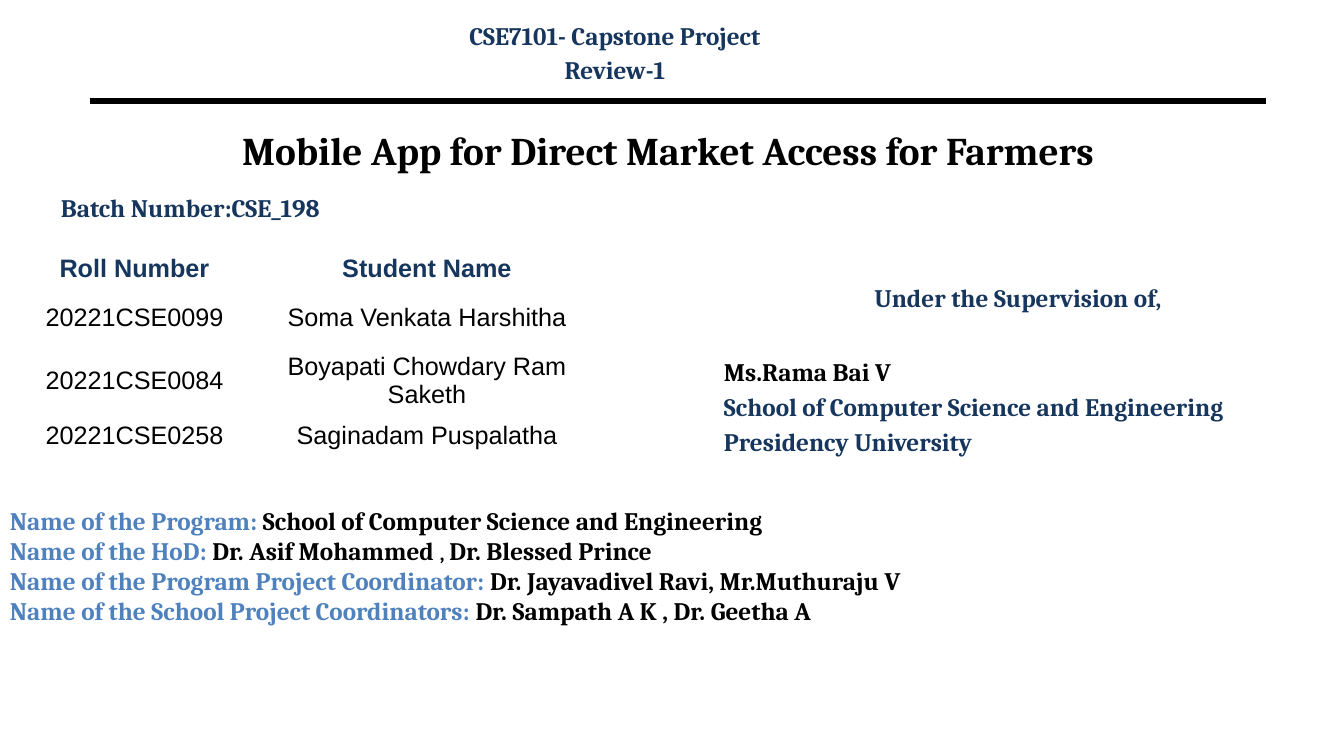
from pptx import Presentation
from pptx import util as u
from pptx.dml.color import RGBColor
from pptx.enum import shapes, text
from pptx.oxml.ns import qn
from lxml import etree

COLORS = {"ink": "000000", "navy": "17365D", "blue": "4F81BD"}
SLIDE = (1344, 756)
PX = u.Inches(7.5) / SLIDE[1]

# Each paragraph: (space before in points, alignment, spans of (words, color, bold))
HEADER = [
    (0, "center", [("CSE7101- Capstone Project", "navy", True)]),
    (3.1, "center", [("Review-1", "navy", True)]),
]
TITLE = [(0, "center", [("Mobile App for Direct Market Access for Farmers", "ink", True)])]
BATCH = [(0, "left", [("Batch Number:CSE_198", "navy", True)])]
SUPERVISION = [
    (0, "center", [("Under the Supervision of,", "navy", True)]),
    (31.5, "left", [("Ms.Rama Bai V", "ink", True)]),
    (3.4, "left", [("School of Computer Science and Engineering", "navy", True)]),
    (3.4, "left", [("Presidency University", "navy", True)]),
]
STAFF = [
    ("Name of the Program: ", [("School of Computer Science and Engineering", "ink", True)]),
    ("Name of the HoD: ", [("Dr. Asif Mohammed ", "ink", True), (", ", "ink", False),
                           ("Dr. Blessed Prince", "ink", True)]),
    ("Name of the Program Project Coordinator: ",
     [("Dr. Jayavadivel Ravi, Mr.Muthuraju V", "ink", True)]),
    ("Name of the School Project Coordinators: ",
     [("Dr. Sampath A K , Dr. Geetha A", "ink", True)]),
]
STUDENTS = [
    ("Roll Number", "Student Name"),
    ("20221CSE0099", "Soma Venkata Harshitha"),
    ("20221CSE0084", "Boyapati Chowdary Ram Saketh"),
    ("20221CSE0258", "Saginadam Puspalatha"),
    ("", ""),
    ("", ""),
]
COLUMN_WIDTHS = (225, 360)
ROW_HEIGHTS = (32, 56, 56, 32, 32, 32)
ALIGN = {"left": text.PP_ALIGN.LEFT, "center": text.PP_ALIGN.CENTER}


def px(*lengths):
    return [u.Emu(round(length * PX)) for length in lengths]


def write(frame, paragraphs, font="Cambria", size=18):
    frame.word_wrap = True
    for index, (before, align, spans) in enumerate(paragraphs):
        para = frame.add_paragraph() if index else frame.paragraphs[0]
        para.alignment = ALIGN[align]
        para.space_before = u.Pt(before)
        para.font.size = u.Pt(size)
        for words, color, bold in spans:
            span = para.add_run()
            span.text = words
            span.font.name = font
            span.font.size = u.Pt(size)
            span.font.bold = bold
            span.font.color.rgb = RGBColor.from_string(COLORS[color])


def add_text(page, place, paragraphs, anchor=text.MSO_ANCHOR.TOP, **style):
    frame = page.shapes.add_textbox(*px(*place)).text_frame
    frame.vertical_anchor = anchor
    write(frame, paragraphs, **style)


def add_rule(page, left, right, top):
    rule = page.shapes.add_connector(shapes.MSO_CONNECTOR.STRAIGHT, *px(left, top, right, top))
    rule.line.color.rgb = RGBColor.from_string(COLORS["ink"])
    rule.line.width = u.Pt(4.5)
    etree.SubElement(rule._element.spPr, qn("a:effectLst"))


def add_students(page, left, top):
    size = (sum(COLUMN_WIDTHS), sum(ROW_HEIGHTS))
    table = page.shapes.add_table(len(STUDENTS), len(COLUMN_WIDTHS),
                                  *px(left, top, *size)).table
    table.first_row = table.horz_banding = False
    for column, width in zip(table.columns, px(*COLUMN_WIDTHS)):
        column.width = width
    for row, height in zip(table.rows, px(*ROW_HEIGHTS)):
        row.height = height
    for r, student in enumerate(STUDENTS):
        for c, words in enumerate(student):
            cell = table.cell(r, c)
            cell.fill.background()
            cell.vertical_anchor = text.MSO_ANCHOR.MIDDLE
            heading = r == 0
            spans = [(words, "navy" if heading else "ink", heading)] if words else []
            write(cell.text_frame, [(0, "center", spans)], font="Arial")


def main():
    deck = Presentation()
    deck.slide_width, deck.slide_height = px(*SLIDE)
    page = deck.slides.add_slide(deck.slide_layouts[6])
    add_rule(page, 90, 1266, 101)
    add_text(page, (68, 97, 1200, 106), TITLE, anchor=text.MSO_ANCHOR.MIDDLE, size=28)
    add_text(page, (51, 187, 504, 75), BATCH)
    add_text(page, (714, 277, 608, 223), SUPERVISION)
    add_students(page, 22, 249)
    add_text(page, (312, 15, 606, 81), HEADER)
    staff = [(0, "left", [(label, "blue", True)] + names) for label, names in STAFF]
    add_text(page, (0, 500, 1344, 172), staff)
    deck.save("out.pptx")


if __name__ == "__main__":
    main()
